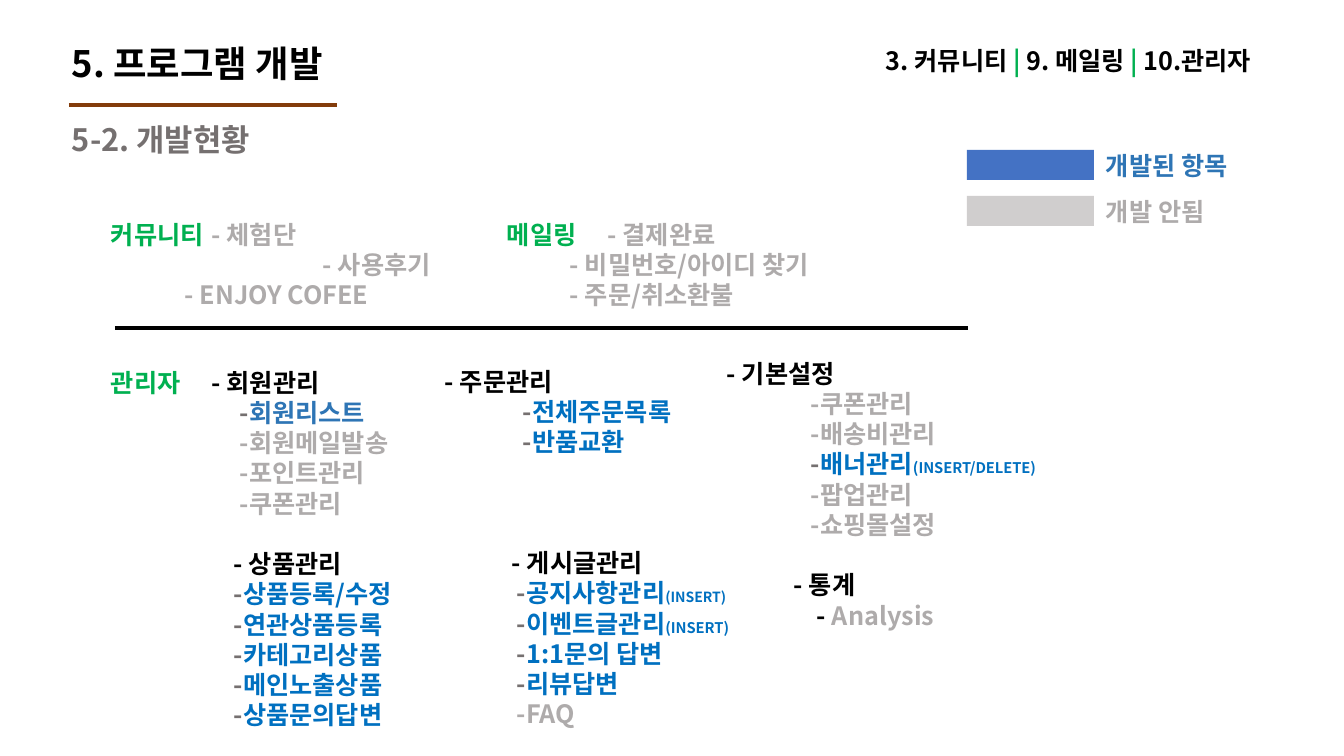
from dataclasses import dataclass

from lxml.etree import SubElement
from pptx import Presentation
from pptx.dml.color import RGBColor as Color
from pptx.enum.shapes import MSO_CONNECTOR as Connector, MSO_SHAPE as Preset
from pptx.enum.text import MSO_ANCHOR as Anchor
from pptx.oxml.ns import qn
from pptx.util import Pt

EMU_PER_PX = 9071


@dataclass(frozen=True)
class Theme:
    font: str = "Noto Sans CJK KR"
    black: str = "000000"
    green: str = "00B050"
    brown: str = "833C0B"
    dash: str = "757070"
    blue: str = "0070C0"
    soft_blue: str = "2E75B5"
    todo: str = "AEABAB"
    done_bar: str = "4472C4"
    todo_bar: str = "D0CECE"
    title: float = 26
    subtitle: float = 22
    body: float = 18
    note: float = 10.5
    small_note: float = 10
    line_pitch: float = 21.6
    rule: float = 2.25


THEME = Theme()


@dataclass
class Row:
    runs: list
    indent: int = 0
    tab: int = 0
    blanks: int = 0


def px(value):
    return value * EMU_PER_PX


def heading(text, indent=0, blanks=0):
    return Row([(f"- {text}", THEME.black)], indent, blanks=blanks)


def labelled(label, text, tab, color):
    return Row([(f"{label}\t", THEME.green), (text, color)], tab=tab)


def done(text, indent, note="", note_size=THEME.note, color=THEME.blue):
    runs = [("-", THEME.dash), (text, color)]
    if note:
        runs.append((note, color, note_size))
    return Row(runs, indent)


def todo(text, indent):
    return Row([(f"-{text}", THEME.todo)], indent)


def style_font(font, color, size):
    font.size = Pt(size)
    font.bold = True
    font.color.rgb = Color.from_string(color)
    font.name = THEME.font
    SubElement(font._rPr, qn("a:ea"), typeface=THEME.font)


def set_indent(paragraph, row):
    properties = paragraph._p.get_or_add_pPr()
    properties.set("marL", str(px(row.indent)))
    properties.set("indent", "0")
    if row.tab:
        tabs = SubElement(properties, qn("a:tabLst"))
        SubElement(tabs, qn("a:tab"), pos=str(px(row.tab)), algn="l")


def add_text(slide, box, rows, size=THEME.body, spacing=Pt(THEME.line_pitch), anchor=Anchor.TOP):
    frame = slide.shapes.add_textbox(*map(px, box)).text_frame
    frame.word_wrap = True
    frame.vertical_anchor = anchor
    for number, row in enumerate(rows):
        paragraph = frame.paragraphs[0] if number == 0 else frame.add_paragraph()
        paragraph.line_spacing = spacing
        if row.blanks:
            paragraph.space_before = Pt(THEME.line_pitch * row.blanks)
        set_indent(paragraph, row)
        if len(row.runs) == 1:
            style_font(paragraph.font, row.runs[0][1], size)
        for text, color, *own_size in row.runs:
            run = paragraph.add_run()
            run.text = text
            style_font(run.font, color, own_size[0] if own_size else size)


def add_title(slide, top, text, color, size):
    add_text(slide, (62, top, 341, 52), [Row([(text, color)])], size, 0.9, Anchor.MIDDLE)


def add_rule(slide, left, right, y, color):
    rule = slide.shapes.add_connector(Connector.STRAIGHT, px(left), px(y), px(right), px(y))
    rule.line.color.rgb = Color.from_string(color)
    rule.line.width = Pt(THEME.rule)
    SubElement(rule._element.spPr, qn("a:effectLst"))


def add_legend(slide, top, bar_color, text, text_color):
    bar = slide.shapes.add_shape(Preset.RECTANGLE, *map(px, (967, top, 127, 30)))
    bar.shadow.inherit = False
    bar.fill.solid()
    bar.fill.fore_color.rgb = Color.from_string(bar_color)
    bar.line.fill.background()
    add_text(slide, (1096, top - 5, 156, 40), [Row([(text, text_color)])])


def add_header(slide):
    add_title(slide, 40, "5. 프로그램 개발", THEME.black, THEME.title)
    add_rule(slide, 69, 337, 105, THEME.brown)
    add_title(slide, 116, "5-2. 개발현황", THEME.dash, THEME.subtitle)
    bar = ("|", THEME.green)
    sections = [("3. 커뮤니티 ", THEME.black), bar, (" 9. 메일링 ", THEME.black), bar,
                (" 10.관리자", THEME.black)]
    add_text(slide, (876, 40, 437, 40), [Row(sections)])
    add_legend(slide, 150, THEME.done_bar, "개발된 항목", THEME.soft_blue)
    add_legend(slide, 196, THEME.todo_bar, "개발 안됨", THEME.todo)


def add_member_sections(slide):
    add_text(slide, (101, 214, 446, 102), [
        labelled("커뮤니티", "- 체험단", 110, THEME.todo),
        todo(" 사용후기", 212),
        todo(" ENJOY COFEE", 74),
    ])
    add_text(slide, (497, 214, 446, 102), [
        labelled("메일링", "- 결제완료", 87, THEME.todo),
        todo(" 비밀번호/아이디 찾기", 63),
        todo(" 주문/취소환불", 63),
    ])
    add_rule(slide, 115, 968, 328, THEME.black)


def add_admin_sections(slide):
    products = ["상품등록/수정", "연관상품등록", "카테고리상품", "메인노출상품", "상품문의답변"]
    add_text(slide, (101, 362, 437, 385), [
        labelled("관리자", "- 회원관리", 86, THEME.black),
        done("회원리스트", 129, color=THEME.soft_blue),
        *[todo(text, 129) for text in ("회원메일발송", "포인트관리", "쿠폰관리")],
        heading("상품관리", 123, blanks=1),
        *[done(text, 123) for text in products],
    ])
    add_text(slide, (384, 361, 437, 385), [
        heading("주문관리", 51),
        done("전체주문목록", 129),
        done("반품교환", 129),
        heading("게시글관리", 118, blanks=3),
        done("공지사항관리", 123, "(INSERT)", THEME.small_note),
        done("이벤트글관리", 123, "(INSERT)"),
        done("1:1문의 답변", 123),
        done("리뷰답변", 123),
        todo("FAQ", 123),
    ])
    add_text(slide, (672, 353, 437, 346), [
        heading("기본설정", 45),
        todo("쿠폰관리", 129),
        todo("배송비관리", 129),
        done("배너관리", 129, "(INSERT/DELETE)"),
        todo("팝업관리", 129),
        todo("쇼핑몰설정", 129),
        heading("통계", 112, blanks=1),
        Row([("- ", THEME.black), ("Analysis", THEME.todo)], 135),
    ])


def main():
    presentation = Presentation()
    presentation.slide_width = px(1344)
    presentation.slide_height = px(756)
    slide = presentation.slides.add_slide(presentation.slide_layouts[6])
    add_header(slide)
    add_member_sections(slide)
    add_admin_sections(slide)
    presentation.save("out.pptx")


if __name__ == "__main__":
    main()
